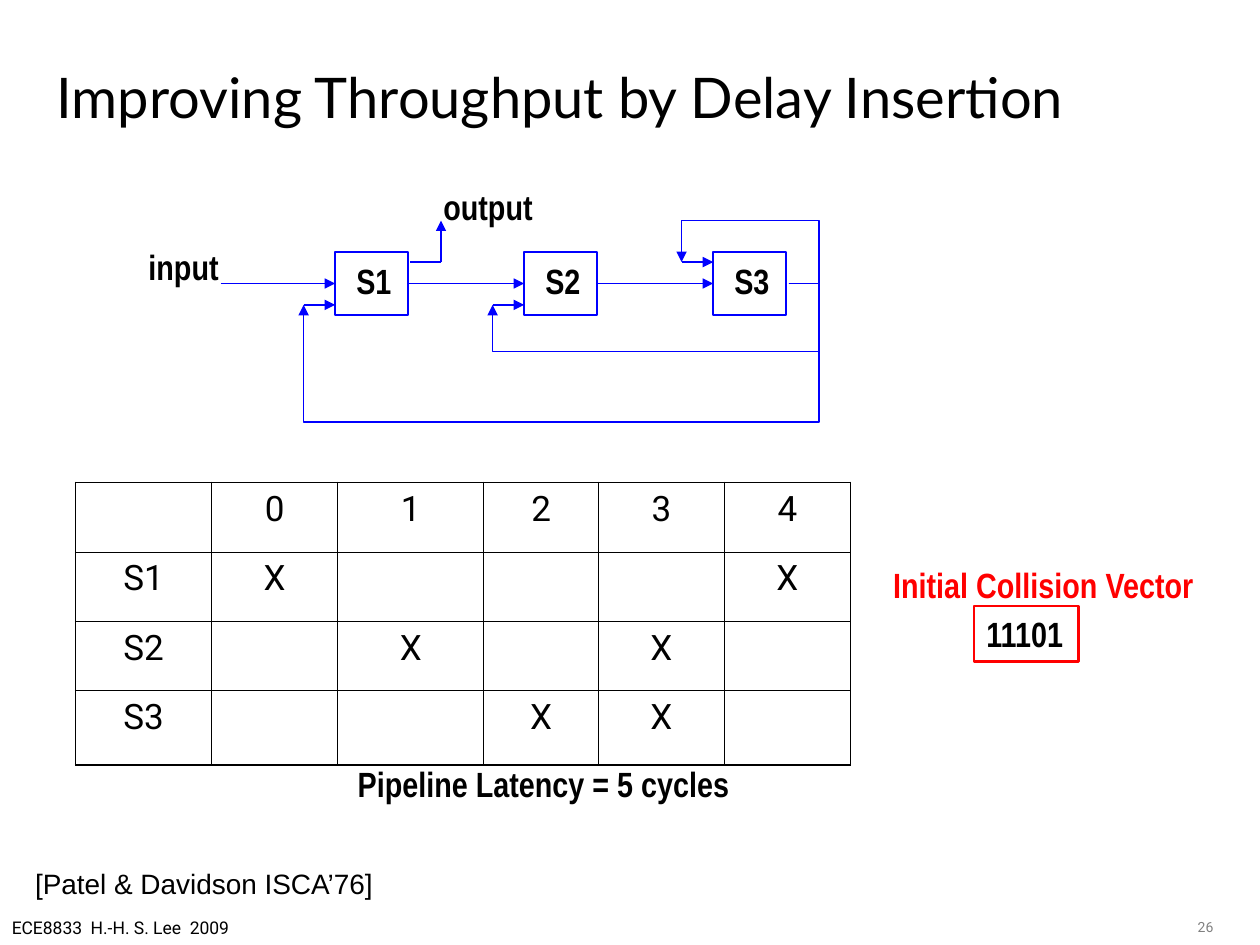
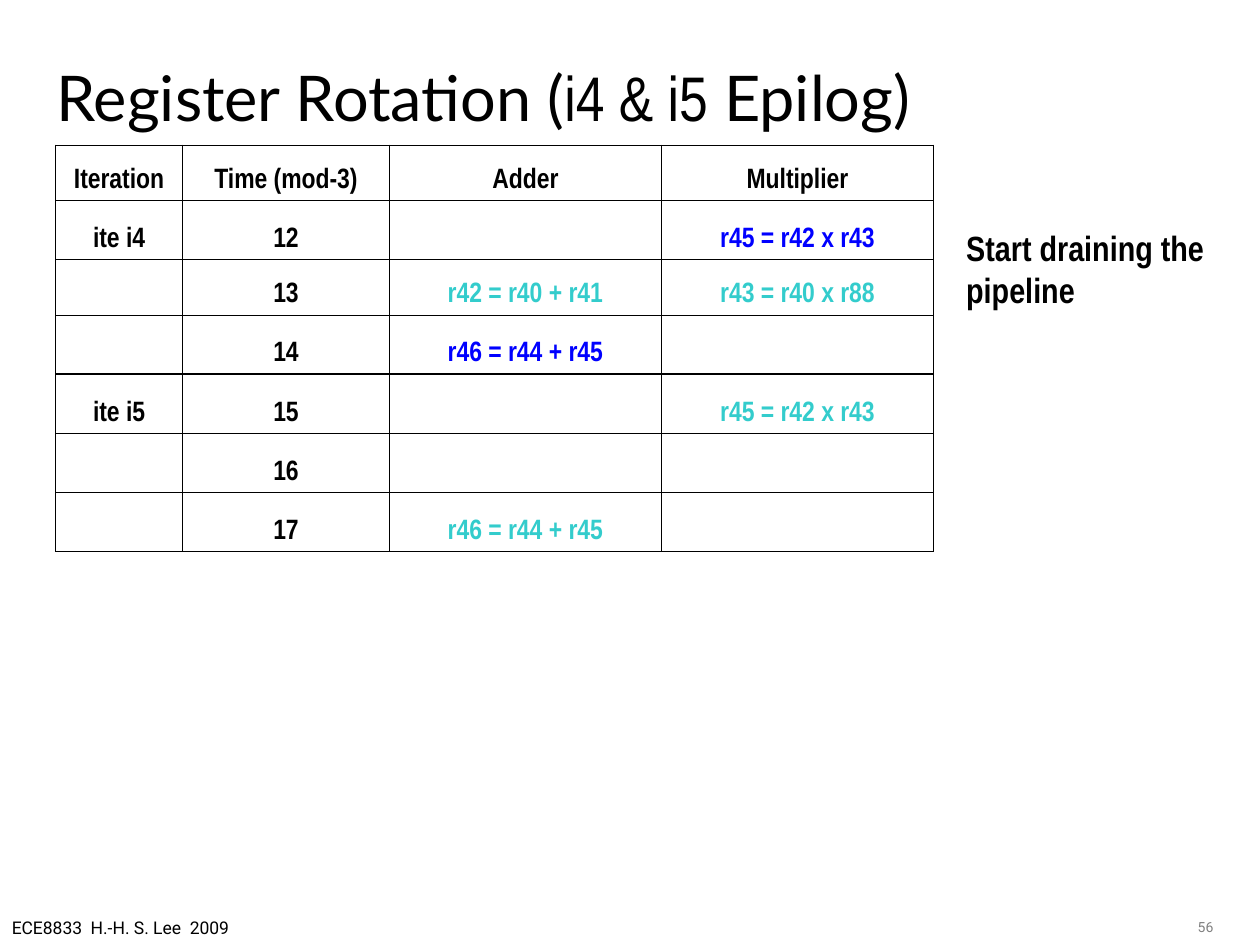
from dataclasses import dataclass, field
from typing import NamedTuple

from lxml.etree import SubElement
from pptx import Presentation
from pptx.dml.color import RGBColor
from pptx.enum.shapes import MSO_CONNECTOR, MSO_SHAPE
from pptx.enum.text import MSO_ANCHOR, MSO_AUTO_SIZE, PP_ALIGN
from pptx.oxml.ns import qn
from pptx.shapes.autoshape import Shape
from pptx.shapes.connector import Connector
from pptx.slide import Slide
from pptx.util import Inches, Pt

COLORS = {
    "black": "000000",
    "blue": "0000FF",
    "teal": "33CCCC",
    "red": "FF0000",
    "gray": "808080",
}
THIN, HEAVY = Pt(0.45), Pt(1.08)


class Style(NamedTuple):
    font: str
    size: int
    color: str = "black"
    bold: bool = False


LABEL = Style("Arial Narrow", 20, bold=True)
RED_LABEL = LABEL._replace(color="red")
FOOTER = Style("Roboto", 10)
PAGE_NUMBER = Style("Roboto", 8, "gray")
CITATION = Style("Arial", 16)


class Box(NamedTuple):
    left: float
    top: float
    width: float
    height: float


class Point(NamedTuple):
    x: float
    y: float


class Cell(NamedTuple):
    text: str = ""
    color: str = "black"


@dataclass
class Grid:
    """A table; heavy_rows and heavy_columns number the thicker grid lines."""
    left: float
    top: float
    column_widths: list[float]
    row_heights: list[float]
    cells: list[list[Cell]]
    style: Style
    anchor: MSO_ANCHOR
    heavy_rows: set[int] = field(default_factory=set)
    heavy_columns: set[int] = field(default_factory=set)


def rgb(color: str) -> RGBColor:
    return RGBColor.from_string(COLORS[color])


def format_run(run, style: Style) -> None:
    run.font.name = style.font
    run.font.size = Pt(style.size)
    run.font.bold = style.bold
    run.font.color.rgb = rgb(style.color)


def write(shape: Shape, text: str, style: Style, align=PP_ALIGN.LEFT,
          wrap: bool = False) -> None:
    text_frame = shape.text_frame
    text_frame.text = text
    text_frame.word_wrap = wrap
    text_frame.auto_size = MSO_AUTO_SIZE.NONE if wrap else MSO_AUTO_SIZE.SHAPE_TO_FIT_TEXT
    paragraph = text_frame.paragraphs[0]
    paragraph.alignment = align
    format_run(paragraph.runs[0], style)


def add_text(slide: Slide, box: Box, text: str, style: Style = LABEL,
             align=PP_ALIGN.LEFT, wrap: bool = False) -> None:
    write(slide.shapes.add_textbox(*map(Inches, box)), text, style, align, wrap)


def add_title(slide: Slide, size: int, *parts: tuple[str, str]) -> None:
    """Write the title from (text, font) parts."""
    text_frame = slide.shapes.add_textbox(*map(Inches, Box(0.35, 0.35, 9, 0.83))).text_frame
    text_frame.word_wrap = True
    text_frame.vertical_anchor = MSO_ANCHOR.MIDDLE
    for text, font in parts:
        run = text_frame.paragraphs[0].add_run()
        run.text = text
        format_run(run, Style(font, size))


def add_outline(slide: Slide, box: Box, color: str) -> Shape:
    shape = slide.shapes.add_shape(MSO_SHAPE.RECTANGLE, *map(Inches, box))
    shape.shadow.inherit = False
    shape.fill.background()
    shape.line.color.rgb = rgb(color)
    shape.line.width = Pt(1.5)
    return shape


def add_line(slide: Slide, start: Point, end: Point, arrow: bool = True,
             kind=MSO_CONNECTOR.STRAIGHT) -> Connector:
    connector = slide.shapes.add_connector(kind, *map(Inches, (*start, *end)))
    connector.line.color.rgb = rgb("blue")
    connector.line.width = Pt(1)
    if arrow:
        SubElement(connector.line._get_or_add_ln(), qn("a:tailEnd"), type="triangle")
    SubElement(connector._element.spPr, qn("a:effectLst"))
    return connector


def add_feedback(slide: Slide, start: Point, corner: Point, end: Point) -> None:
    """Draw an arrow that runs sideways to corner.x, then to corner.y, then to end."""
    connector = add_line(slide, start, end, kind=MSO_CONNECTOR.ELBOW)
    geometry = connector._element.spPr.find(qn("a:prstGeom"))
    geometry.set("prst", "bentConnector4")
    adjustments = geometry.find(qn("a:avLst"))
    ratios = ((corner.x - start.x) / (end.x - start.x),
              (corner.y - start.y) / (end.y - start.y))
    for number, ratio in enumerate(ratios, 1):
        SubElement(adjustments, qn("a:gd"), name=f"adj{number}",
                   fmla=f"val {round(ratio * 100000)}")


def add_borders(cell, widths: dict[str, int]) -> None:
    properties = cell._tc.get_or_add_tcPr()
    for side, width in widths.items():
        line = SubElement(properties, qn(f"a:ln{side}"), w=str(width))
        fill = SubElement(line, qn("a:solidFill"))
        SubElement(fill, qn("a:srgbClr"), val=COLORS["black"])


def add_grid(slide: Slide, grid: Grid) -> None:
    table = slide.shapes.add_table(
        len(grid.row_heights), len(grid.column_widths), Inches(grid.left), Inches(grid.top),
        Inches(sum(grid.column_widths)), Inches(sum(grid.row_heights))).table
    table.first_row = table.horz_banding = False
    for column, width in zip(table.columns, grid.column_widths):
        column.width = Inches(width)
    for row, height in zip(table.rows, grid.row_heights):
        row.height = Inches(height)

    def weight(line: int, heavy: set[int]) -> int:
        return HEAVY if line in heavy else THIN

    for row_index, row_cells in enumerate(grid.cells):
        for column_index, (text, color) in enumerate(row_cells):
            cell = table.cell(row_index, column_index)
            add_borders(cell, {
                "L": weight(column_index, grid.heavy_columns),
                "R": weight(column_index + 1, grid.heavy_columns),
                "T": weight(row_index, grid.heavy_rows),
                "B": weight(row_index + 1, grid.heavy_rows),
            })
            cell.fill.background()
            cell.vertical_anchor = grid.anchor
            if text:
                cell.text_frame.text = text
                paragraph = cell.text_frame.paragraphs[0]
                paragraph.alignment = PP_ALIGN.CENTER
                format_run(paragraph.runs[0], grid.style._replace(color=color))


def add_slide(presentation, page: int) -> Slide:
    slide = presentation.slides.add_slide(presentation.slide_layouts[6])
    add_text(slide, Box(-0.02, 7.23, 1.95, 0.27), "ECE8833  H.-H. S. Lee  2009",
             FOOTER, PP_ALIGN.CENTER)
    add_text(slide, Box(9.07, 7.24, 0.66, 0.17), str(page), PAGE_NUMBER,
             PP_ALIGN.RIGHT, wrap=True)
    return slide


def add_pipeline(slide: Slide) -> None:
    middle, upper, lower = 2.25, 2.08, 2.42
    lefts = [2.66 + 1.5 * index for index in range(3)]
    stages = []
    for number, left in enumerate(lefts, 1):
        stages.append(add_outline(slide, Box(left, 2, 0.58, 0.5), "blue"))
        add_text(slide, Box(left + 0.07, 2.01, 0.48, 0.44), f"S{number}")

    for index, stage in enumerate(stages):
        flow = add_line(slide, Point(lefts[index] - 0.91, middle), Point(lefts[index], middle))
        if index:
            flow.begin_connect(stages[index - 1], 3)
        flow.end_connect(stage, 1)

    stage_output = Point(6.26, middle)
    for left, entry, bend in zip(lefts, (lower, lower, upper), (3.35, 2.79, 1.75)):
        turn = Point(left - 0.25, entry)
        add_line(slide, turn, Point(left, entry))
        add_feedback(slide, stage_output, Point(6.5, bend), turn)

    output_turn = Point(3.5, upper)
    add_line(slide, output_turn, Point(3.5, 1.75))
    add_line(slide, output_turn, Point(3.25, upper), arrow=False)
    add_text(slide, Box(1.08, 1.9, 0.76, 0.44), "input")
    add_text(slide, Box(3.42, 1.42, 0.91, 0.44), "output")


def build_delay_insertion(presentation) -> None:
    slide = add_slide(presentation, 26)
    add_title(slide, 32, ("Improving Throughput by Delay Insertion", "Lato"))
    add_pipeline(slide)

    busy_cycles = {"S1": {0, 4}, "S2": {1, 3}, "S3": {2, 3}}
    cycles = range(5)
    reservations = [[Cell(), *(Cell(str(cycle)) for cycle in cycles)]]
    for stage, busy in busy_cycles.items():
        reservations.append(
            [Cell(stage), *(Cell("X" if cycle in busy else "") for cycle in cycles)])
    add_grid(slide, Grid(
        0.6, 3.83, [1.08, 1, 1.16, 0.91, 1, 1], [0.55, 0.55, 0.55, 0.59], reservations,
        Style("Roboto", 20), MSO_ANCHOR.TOP, heavy_rows={0, 4}, heavy_columns={0, 6}))

    add_text(slide, Box(2.74, 6, 3.21, 0.44), "Pipeline Latency = 5 cycles")
    write(add_outline(slide, Box(7.73, 4.81, 0.83, 0.44), "red"), "11101", LABEL)
    add_text(slide, Box(6.99, 4.42, 2.59, 0.44), "Initial Collision Vector", RED_LABEL)
    add_text(slide, Box(0.17, 6.83, 2.9, 0.37), "[Patel & Davidson ISCA’76]",
             CITATION, PP_ALIGN.CENTER)


def build_register_rotation(presentation) -> None:
    slide = add_slide(presentation, 56)
    add_title(slide, 36, ("Register Rotation (", "Lato"), ("i4 & i5", "Arial Narrow"),
              (" Epilog)", "Lato"))
    multiply, add = "r45 = r42 x r43", "r46 = r44 + r45"
    empty = Cell()
    schedule = [
        [Cell("Iteration"), Cell("Time (mod-3)"), Cell("Adder"), Cell("Multiplier")],
        [Cell("ite i4"), Cell("12"), empty, Cell(multiply, "blue")],
        [empty, Cell("13"), Cell("r42 = r40 + r41", "teal"), Cell("r43 = r40 x r88", "teal")],
        [empty, Cell("14"), Cell(add, "blue"), empty],
        [Cell("ite i5"), Cell("15"), empty, Cell(multiply, "teal")],
        [empty, Cell("16"), empty, empty],
        [empty, Cell("17"), Cell(add, "teal"), empty],
    ]
    add_grid(slide, Grid(
        0.44, 1.15, [1.01, 1.64, 2.16, 2.16], [0.44, 0.47, 0.44] + [0.47] * 4, schedule,
        Style("Arial Narrow", 16, bold=True), MSO_ANCHOR.BOTTOM, heavy_rows={4, 7}))
    add_text(slide, Box(7.57, 1.75, 2.43, 0.77), "Start draining the pipeline", wrap=True)


def main() -> None:
    presentation = Presentation()
    presentation.slide_width = Inches(10)
    presentation.slide_height = Inches(7.5)
    build_delay_insertion(presentation)
    build_register_rotation(presentation)
    presentation.save("out.pptx")


if __name__ == "__main__":
    main()
